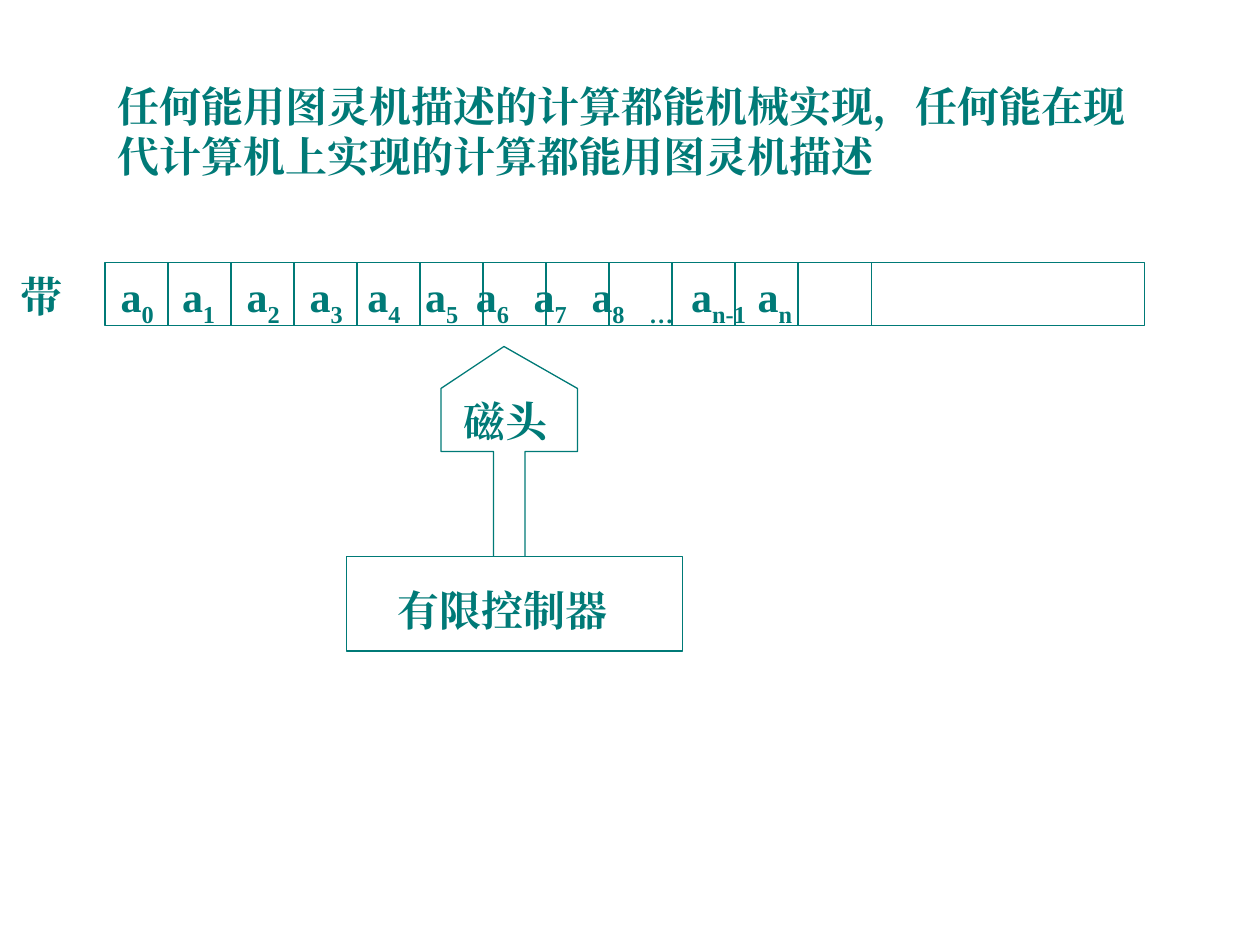
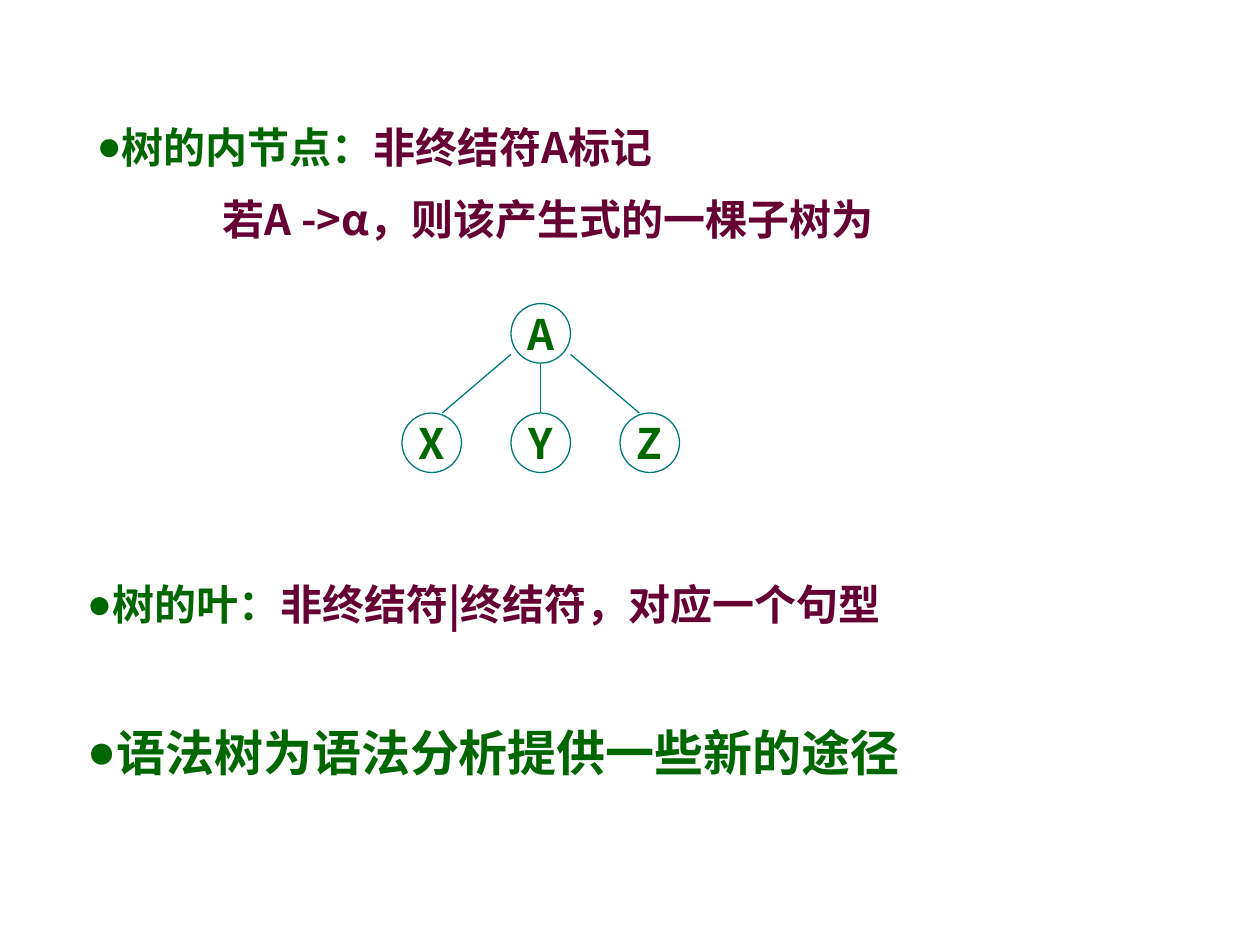
import dataclasses

import lxml.etree
import pptx
import pptx.dml.color
import pptx.enum.lang
import pptx.enum.shapes
import pptx.enum.text
import pptx.oxml.ns
import pptx.util

Pt = pptx.util.Pt
RGB = pptx.dml.color.RGBColor
Align = pptx.enum.text.PP_ALIGN
Anchor = pptx.enum.text.MSO_ANCHOR
Shape = pptx.enum.shapes.MSO_SHAPE


@dataclasses.dataclass(frozen=True)
class Theme:
    teal: RGB = RGB(0x00, 0x7A, 0x77)
    green: RGB = RGB(0x00, 0x66, 0x00)
    plum: RGB = RGB(0x66, 0x00, 0x33)
    serif: str = "Times New Roman"
    sans: str = "Noto Sans CJK JP"
    text: float = 24
    large: float = 28
    leading: float = 29
    large_leading: float = 34
    gap: float = 12
    line: float = 0.75


THEME = Theme()


def add_element(parent, tag, **attributes):
    element = lxml.etree.SubElement(parent, pptx.oxml.ns.qn(tag))
    for key, value in attributes.items():
        element.set(key, str(value))
    return element


def add_span(para, text, color=THEME.teal, font=THEME.serif, size=THEME.text, subscript=False):
    span = para.add_run()
    span.text = text
    span.font.size = Pt(size)
    span.font.bold = True
    span.font.name = font
    span.font.color.rgb = color
    span.font.language_id = pptx.enum.lang.MSO_LANGUAGE_ID.SIMPLIFIED_CHINESE
    properties = span._r.get_or_add_rPr()
    add_element(properties, "a:ea", typeface=font)
    if subscript:
        properties.set("baseline", "-25000")


def format_para(para, before=0, leading=THEME.leading, align=Align.LEFT):
    para.alignment = align
    para.line_spacing = Pt(leading)
    para.space_before = Pt(before)


def set_indent(para, margin, hanging=0):
    properties = para._p.get_or_add_pPr()
    properties.set("marL", str(Pt(margin)))
    properties.set("indent", str(-Pt(hanging)))
    if hanging:
        add_element(properties, "a:buFont", typeface=THEME.serif)
        add_element(properties, "a:buChar", char="●")
    else:
        add_element(properties, "a:buNone")


def set_tabs(para, stops):
    tab_list = add_element(para._p.get_or_add_pPr(), "a:tabLst")
    for stop in stops:
        add_element(tab_list, "a:tab", pos=Pt(stop), algn="l")


def place(holder, left, top, width, height):
    holder.left, holder.top = Pt(left), Pt(top)
    holder.width, holder.height = Pt(width), Pt(height)
    frame = holder.text_frame
    frame.word_wrap = True
    frame.auto_size = pptx.enum.text.MSO_AUTO_SIZE.NONE
    frame.vertical_anchor = Anchor.TOP
    return frame


def add_box(page, left, top, width, height):
    box = page.shapes.add_textbox(Pt(left), Pt(top), Pt(width), Pt(height))
    return place(box, left, top, width, height)


def add_label(page, text, left, top, width, height):
    para = add_box(page, left, top, width, height).paragraphs[0]
    format_para(para)
    add_span(para, text)


def style_outline(shape):
    shape.shadow.inherit = False
    shape.fill.background()
    shape.line.color.rgb = THEME.teal
    shape.line.width = Pt(THEME.line)


def add_outline(shapes, kind, left, top, width, height):
    shape = shapes.add_shape(kind, Pt(left), Pt(top), Pt(width), Pt(height))
    style_outline(shape)
    return shape


def add_line(shapes, x1, y1, x2, y2):
    line = shapes.add_connector(
        pptx.enum.shapes.MSO_CONNECTOR.STRAIGHT, Pt(x1), Pt(y1), Pt(x2), Pt(y2)
    )
    line.line.color.rgb = THEME.teal
    line.line.width = Pt(THEME.line)
    add_element(line._element.spPr, "a:effectLst")


def add_tape(page):
    left, top, cell = 60, 150, 36
    add_outline(page.shapes, Shape.RECTANGLE, left, top, 594, cell)
    for x in [left + cell * number for number in range(1, 12)] + [498]:
        add_line(page.shapes, x, top, x, top + cell)

    inset = 12
    frame = add_box(page, 0, top, 636, cell)
    frame.margin_left = Pt(inset)
    para = frame.paragraphs[0]
    format_para(para, leading=34)
    symbol_starts = [69, 104, 141, 177, 210, 243, 272, 305, 338, 371, 395, 433]
    set_tabs(para, [start - inset for start in symbol_starts])
    add_span(para, "带")
    for index in [*"012345678", "…", "n-1", "n"]:
        add_span(para, "\t" if index == "…" else "\ta")
        add_span(para, index, subscript=True)


def add_head(page):
    outline = [(282, 318), (282, 258), (252, 258), (252, 222), (288, 198),
               (330, 222), (330, 258), (300, 258), (300, 318)]
    builder = page.shapes.build_freeform(*outline[0], scale=Pt(1))
    builder.add_line_segments(outline[1:], close=False)
    style_outline(builder.convert_to_shape())
    add_label(page, "磁头", 258, 222, 66, 36)


def add_node(shapes, letter, x, y, radius):
    node = add_outline(shapes, Shape.OVAL, x - radius, y - radius, 2 * radius, 2 * radius)
    frame = node.text_frame
    frame.word_wrap = False
    frame.vertical_anchor = Anchor.MIDDLE
    format_para(frame.paragraphs[0], align=Align.CENTER)
    add_span(frame.paragraphs[0], letter, THEME.green, THEME.sans)


def add_tree(page):
    root_x, root_y, leaf_y, step, radius = 309, 190.5, 253, 62.3, 17
    shapes = page.shapes.add_group_shape().shapes
    add_node(shapes, "A", root_x, root_y, radius)
    for side, letter in zip((-1, 0, 1), "XYZ"):
        leaf_x = root_x + side * step
        add_node(shapes, letter, leaf_x, leaf_y, radius)
        add_line(shapes, root_x + side * radius, root_y + (12 if side else radius),
                 leaf_x - side * 6, leaf_y - radius)


def add_bullet(para, spans, size=THEME.text, hanging=13, **spacing):
    format_para(para, **spacing)
    set_indent(para, hanging, hanging)
    for text, color in spans:
        add_span(para, text, color, THEME.sans, size)


def build_turing_page(deck):
    page = deck.slides.add_slide(deck.slide_layouts[5])
    title = place(page.shapes.title, 60, 42, 594, 65).paragraphs[0]
    format_para(title)
    add_span(title, "任何能用图灵机描述的计算都能机械实现，任何能在现代计算机上实现的计算都能用图灵机描述")
    add_tape(page)
    add_head(page)
    add_outline(page.shapes, Shape.RECTANGLE, 198, 318, 192, 54)
    add_label(page, "有限控制器", 220, 330, 164, 36)


def build_tree_page(deck):
    page = deck.slides.add_slide(deck.slide_layouts[3])
    title, inner_list, leaf_list = page.placeholders
    title._element.getparent().remove(title._element)

    inner = place(inner_list, 48, 65.5, 595, 79)
    add_bullet(inner.paragraphs[0],
               [("树的内节点：", THEME.green), ("非终结符A标记", THEME.plum)])
    production = inner.add_paragraph()
    format_para(production, before=THEME.gap)
    set_indent(production, 72)
    add_span(production, "若A ->α，则该产生式的一棵子树为", THEME.plum, THEME.sans)

    add_tree(page)

    leaves = place(leaf_list, 42.5, 327, 595, 130)
    add_bullet(leaves.paragraphs[0],
               [("树的叶：", THEME.green), ("非终结符|终结符，对应一个句型", THEME.plum)])
    add_bullet(leaves.add_paragraph(), [("语法树为语法分析提供一些新的途径", THEME.green)],
               size=THEME.large, hanging=15.5, before=53, leading=THEME.large_leading)


def main():
    deck = pptx.Presentation()
    deck.slide_width, deck.slide_height = Pt(720), Pt(540)
    build_turing_page(deck)
    build_tree_page(deck)
    deck.save("out.pptx")


if __name__ == "__main__":
    main()
